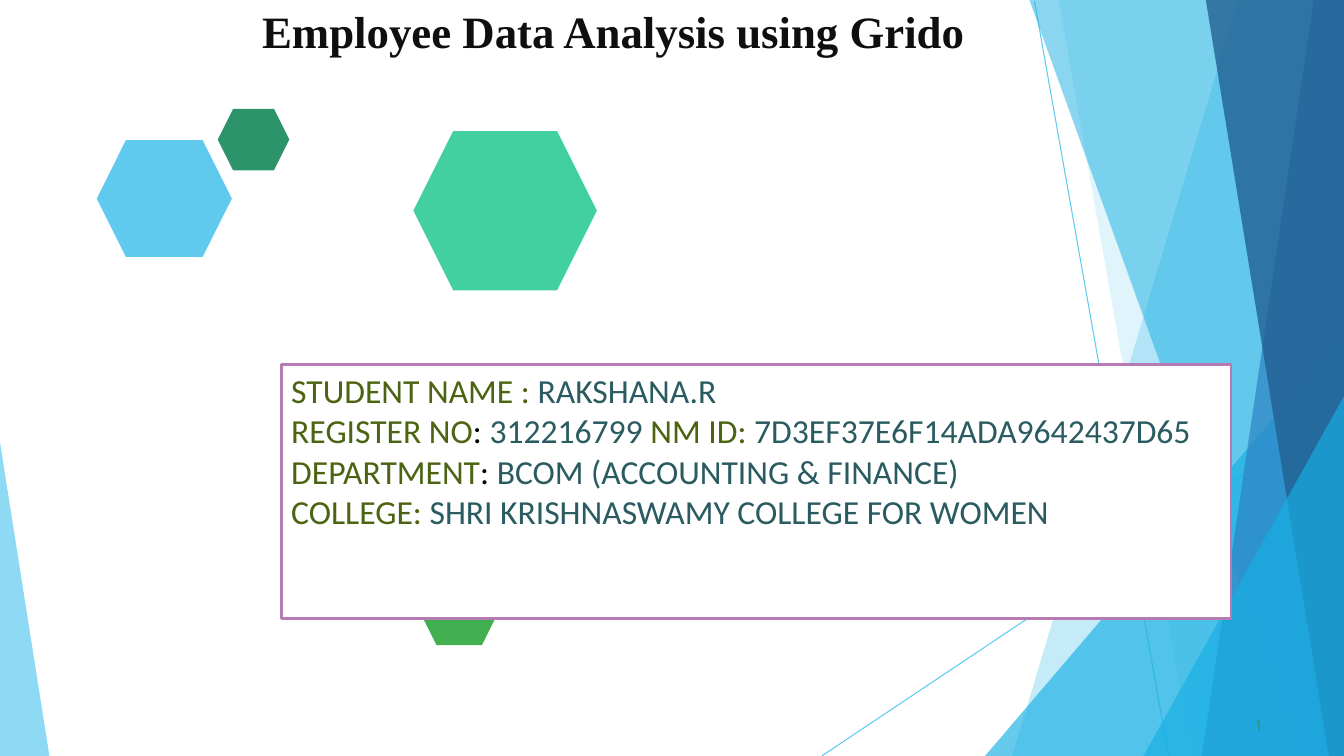
from lxml.etree import SubElement
from pptx import Presentation
from pptx.dml.color import RGBColor
from pptx.enum.shapes import MSO_CONNECTOR, MSO_SHAPE
from pptx.enum.text import MSO_ANCHOR, PP_ALIGN
from pptx.oxml.ns import qn
from pptx.util import Pt

PX = 9144  # 100 px to the inch
WIDE, HIGH = 1333, 750

SKY, BLUE, OLIVE, TEAL, BLACK = "5FCAEE", "17AFE3", "4C6312", "295B60", "000000"

TITLE = "Employee Data Analysis using Grido"
PAGE = "1"
DETAILS = [
    [("STUDENT NAME : ", OLIVE), ("RAKSHANA.R", TEAL)],
    [("REGISTER NO", OLIVE), (": ", BLACK), ("312216799 ", TEAL),
     ("NM ID: ", OLIVE), ("7D3EF37E6F14ADA9642437D65", TEAL)],
    [("DEPARTMENT", OLIVE), (": ", BLACK), ("BCOM (ACCOUNTING & FINANCE)", TEAL)],
    [("COLLEGE: ", OLIVE), ("SHRI KRISHNASWAMY COLLEGE FOR WOMEN", TEAL)],
]

LINES = [(1026, 1, 1159, 750), (1333, 404, 815, 750)]

# Corners, colour, opacity in percent
SHARDS = [
    ([(WIDE, 0), (1228, 0), (1004, HIGH), (WIDE, HIGH)], SKY, 36),
    ([(WIDE, 0), (1050, 0), (1182, HIGH), (WIDE, HIGH)], SKY, 20),
    ([(WIDE, 333), (977, HIGH), (WIDE, HIGH)], BLUE, 66),
    ([(WIDE, 0), (1021, 0), (1291, HIGH), (WIDE, HIGH)], BLUE, 50),
    ([(WIDE, 0), (1303, 0), (1192, HIGH), (WIDE, HIGH)], "2D83C3", 70),
    ([(WIDE, 0), (1196, 0), (1318, HIGH), (WIDE, HIGH)], "226192", 80),
    ([(WIDE, 393), (1134, HIGH), (WIDE, HIGH)], BLUE, 66),
    ([(0, 439), (0, HIGH), (49, HIGH)], SKY, 70),
]

# Left, top, width, height, colour
HEXES = [
    (96, 139, 134, 116, SKY),
    (216, 108, 71, 61, "2D936B"),
    (410, 130, 182, 158, "42D0A1"),
    (416, 572, 79, 68, "42AF51"),
]


def rgb(code):
    return RGBColor.from_string(code)


def emu(*sizes):
    return [size * PX for size in sizes]


def paint(shape, code):
    """Give a shape a plain fill, with no line or shadow."""
    shape.shadow.inherit = False
    shape.fill.solid()
    shape.fill.fore_color.rgb = rgb(code)
    shape.line.fill.background()


def add_line(slide, ends):
    line = slide.shapes.add_connector(MSO_CONNECTOR.STRAIGHT, *emu(*ends))
    line.line.color.rgb = rgb(SKY)
    line.line.width = Pt(0.75)
    SubElement(line._element.spPr, qn("a:effectLst"))


def add_shard(slide, points, code, alpha):
    pen = slide.shapes.build_freeform(*points[0], scale=PX)
    pen.add_line_segments(points[1:], close=True)
    shard = pen.convert_to_shape()
    paint(shard, code)
    tint = shard._element.spPr.find(".//" + qn("a:srgbClr"))
    SubElement(tint, qn("a:alpha"), val=str(alpha * 1000))


def style(run, font, size, code, bold=False):
    run.font.name = font
    run.font.size = Pt(size)
    run.font.color.rgb = rgb(code)
    run.font.bold = bold


def add_label(slide, box, text, top, space, *look):
    label = slide.shapes.add_textbox(*emu(*box))
    frame = label.text_frame
    frame.word_wrap = True
    frame.margin_left = frame.margin_right = frame.margin_bottom = 0
    frame.margin_top = top * PX
    frame.text = text
    para = frame.paragraphs[0]
    para.space_before = Pt(space)
    style(para.runs[0], *look)


def add_card(slide, box):
    card = slide.shapes.add_shape(MSO_SHAPE.RECTANGLE, *emu(*box))
    paint(card, "FFFFFF")
    card.line.color.rgb = rgb("B77BB4")
    card.line.width = Pt(2)
    frame = card.text_frame
    frame.word_wrap = True
    frame.vertical_anchor = MSO_ANCHOR.TOP
    for i, parts in enumerate(DETAILS):
        para = frame.add_paragraph() if i else frame.paragraphs[0]
        para.alignment = PP_ALIGN.LEFT
        for text, code in parts:
            run = para.add_run()
            run.text = text
            style(run, "Calibri", 24, code)


def main():
    deck = Presentation()
    deck.slide_width, deck.slide_height = emu(WIDE, HIGH)
    slide = deck.slides.add_slide(deck.slide_layouts[6])
    for ends in LINES:
        add_line(slide, ends)
    for shard in SHARDS:
        add_shard(slide, *shard)
    for *box, code in HEXES:
        paint(slide.shapes.add_shape(MSO_SHAPE.HEXAGON, *emu(*box)), code)
    add_label(slide, (260, 2, 741, 110), TITLE, 2, 1.3,
              "Times New Roman", 32, "0F0F0F", True)
    add_label(slide, (1246, 708, 13, 21), PAGE, 1, 0.6, "Karla", 11, "2D936B")
    add_card(slide, (279, 362, 942, 252))
    deck.save("out.pptx")


if __name__ == "__main__":
    main()
